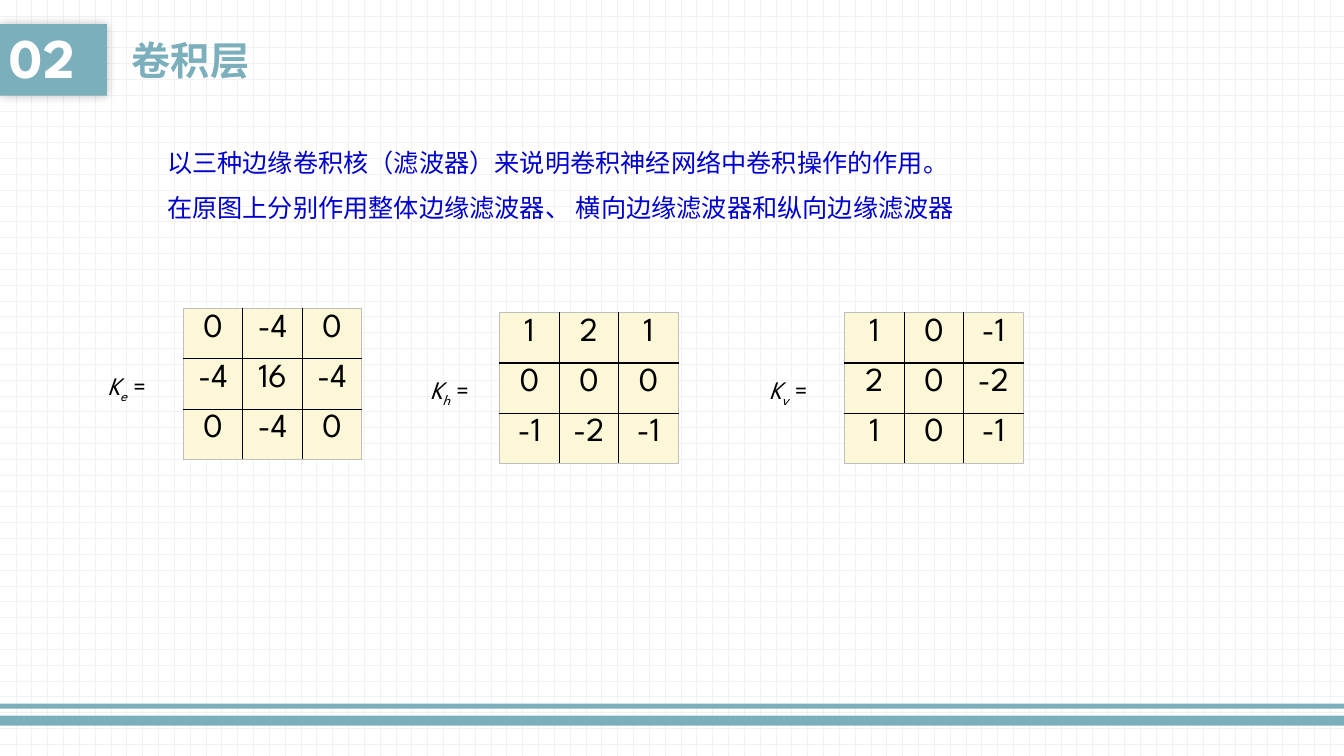
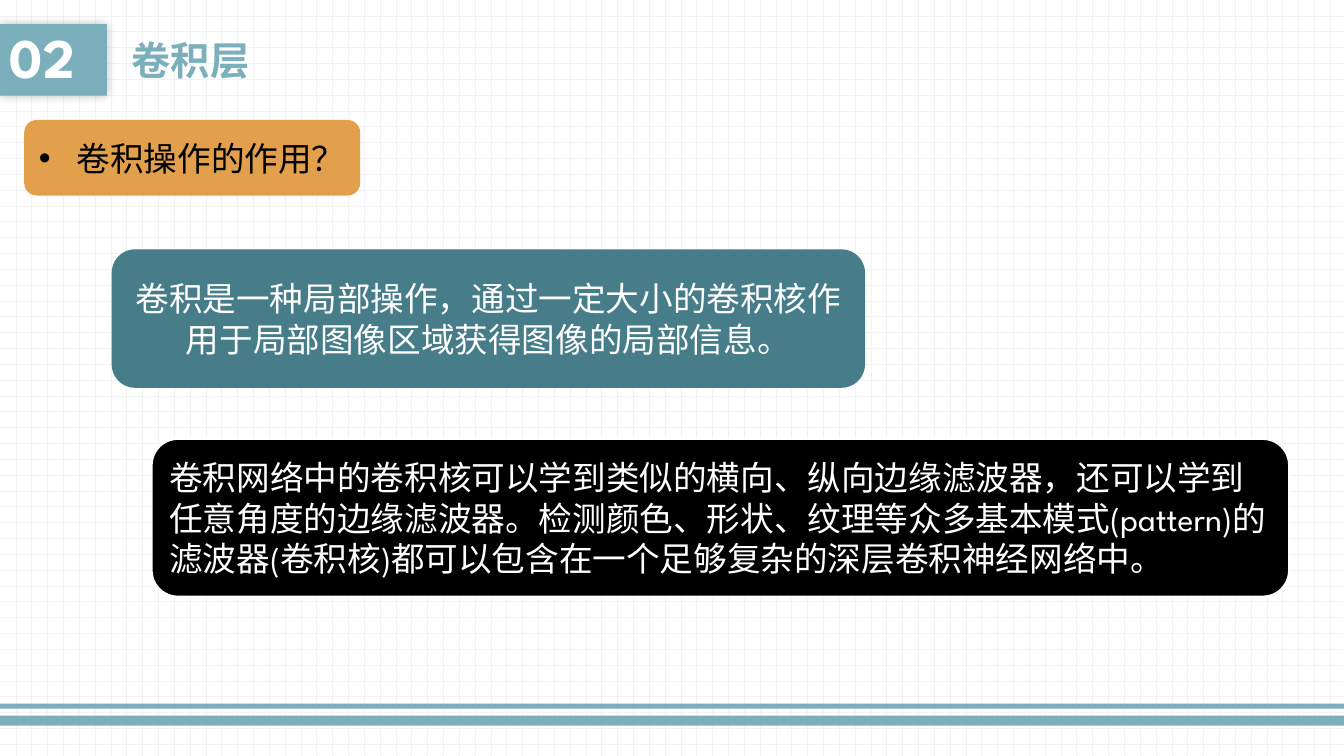
from dataclasses import dataclass

from lxml import etree
from pptx import Presentation
from pptx import util as u
from pptx.dml import color
from pptx.enum import dml, shapes, text
from pptx.oxml import ns


@dataclass(frozen=True)
class Theme:
    font: str = "League Spartan"
    accent: str = "7CAFBC"
    deep: str = "477C89"
    orange: str = "E2A04C"
    cream: str = "FCF7D7"
    blue: str = "0000CC"
    grid: str = "F2F2F2"
    edge: str = "BFBFBF"
    black: str = "000000"
    white: str = "FFFFFF"
    number_size: int = 40
    title_size: int = 28
    large_size: int = 24
    body_size: int = 18


THEME = Theme()
WIDTH, HEIGHT = 960, 540
BANDS = ((511.2, 7.2), (502.6, 3.6))
HEADER_BOX = (0, 17.3, 592, 51.1)
NUMBER_WIDTH = 76.3
TITLE_LEFT = 87.1
CELL_WIDTH, CELL_HEIGHT = 42.5, 36
KERNELS = (
    ("e", (131, 220.3), 61.2, ((0, -4, 0), (-4, 16, -4), (0, -4, 0))),
    ("h", (357, 223.2), 56.8, ((1, 2, 1), (0, 0, 0), (-1, -2, -1))),
    ("v", (603.4, 223.2), 61.2, ((1, 0, -1), (2, 0, -2), (1, 0, -1))),
)


def rgb(value):
    return color.RGBColor.from_string(value)


def points(box):
    return [u.Pt(length) for length in box]


def add_child(parent, tag, **attributes):
    child = etree.SubElement(parent, ns.qn(tag))
    for name, value in attributes.items():
        child.set(name, str(value))
    return child


def style(paragraph, size, ink, bold=False):
    paragraph.font.name = THEME.font
    paragraph.font.size = u.Pt(size)
    paragraph.font.color.rgb = rgb(ink)
    paragraph.font.bold = bold


def add_panel(slide, box, fill, kind=shapes.MSO_SHAPE.RECTANGLE, line=None, line_width=1):
    shape = slide.shapes.add_shape(kind, *points(box))
    shape.shadow.inherit = False
    shape.fill.solid()
    shape.fill.fore_color.rgb = rgb(fill)
    if line:
        shape.line.color.rgb = rgb(line)
        shape.line.width = u.Pt(line_width)
    else:
        shape.line.fill.background()
    return shape


def write(shape, lines, size, ink, bold=False, align=text.PP_ALIGN.LEFT,
          anchor=text.MSO_ANCHOR.MIDDLE, spacing=None, bullet=False):
    frame = shape.text_frame
    frame.word_wrap = True
    frame.vertical_anchor = anchor
    frame.text = "\n".join(lines)
    for paragraph in frame.paragraphs:
        paragraph.alignment = align
        paragraph.line_spacing = spacing
        if bullet:
            properties = paragraph._p.get_or_add_pPr()
            properties.set("marL", str(u.Pt(27)))
            properties.set("indent", str(-u.Pt(27)))
            add_child(properties, "a:buFont", typeface="Arial")
            add_child(properties, "a:buChar", char="•")
        style(paragraph, size, ink, bold)


def add_textbox(slide, box, lines, size, ink, **options):
    write(slide.shapes.add_textbox(*points(box)), lines, size, ink, **options)


def add_card(slide, box, line_of_text, fill, ink, line=None, line_width=1, **options):
    card = add_panel(slide, box, fill, shapes.MSO_SHAPE.ROUNDED_RECTANGLE, line, line_width)
    write(card, [line_of_text], THEME.large_size, ink, **options)


def decorate_master(master, slide):
    fill = master.background.fill
    fill.patterned()
    fill.pattern = dml.MSO_PATTERN.DOTTED_GRID
    fill.fore_color.rgb = rgb(THEME.grid)
    fill.back_color.rgb = rgb(THEME.white)
    for index, (top, height) in enumerate(BANDS):
        band = add_panel(slide, (0, top, WIDTH, height), THEME.accent)
        band.element.nvSpPr.cNvPr.set("id", str(100 + index))
        master.shapes.element.insert(2 + index, band.element)


def add_header(slide, box, number, title):
    left, top, width, height = box
    badge = add_panel(slide, (left, top, NUMBER_WIDTH, height), THEME.accent)
    effects = badge.element.spPr.find(ns.qn("a:effectLst"))
    shadow = add_child(effects, "a:outerShdw", blurRad=u.Pt(7), dist=0, dir=0,
                       algn="ctr", rotWithShape=0)
    shade = add_child(shadow, "a:srgbClr", val=THEME.black)
    add_child(shade, "a:alpha", val=25000)
    write(badge, [number], THEME.number_size, THEME.white, bold=True, spacing=0.9)
    add_textbox(slide, (left + TITLE_LEFT, top, width - TITLE_LEFT, height), [title],
                THEME.title_size, THEME.accent, bold=True)


def set_borders(cell, row, column, last):
    properties = cell._tc.get_or_add_tcPr()
    sides = (("a:lnL", column == 0), ("a:lnR", column == last),
             ("a:lnT", row == 0), ("a:lnB", row == last))
    for tag, outer in sides:
        line = add_child(properties, tag, w=u.Pt(1))
        fill = add_child(line, "a:solidFill")
        add_child(fill, "a:srgbClr", val=THEME.edge if outer else THEME.black)


def add_kernel_table(slide, origin, values):
    count = len(values)
    box = (*origin, count * CELL_WIDTH, count * CELL_HEIGHT)
    table = slide.shapes.add_table(count, count, *points(box)).table
    table.first_row = table.horz_banding = False
    for row, numbers in enumerate(values):
        for column, number in enumerate(numbers):
            cell = table.cell(row, column)
            set_borders(cell, row, column, count - 1)
            cell.fill.solid()
            cell.fill.fore_color.rgb = rgb(THEME.cream)
            cell.text = str(number)
            paragraph = cell.text_frame.paragraphs[0]
            paragraph.alignment = text.PP_ALIGN.CENTER
            style(paragraph, THEME.large_size, THEME.black)


def add_kernel_label(slide, box, subscript):
    frame = slide.shapes.add_textbox(*points(box)).text_frame
    frame.word_wrap = True
    paragraph = frame.paragraphs[0]
    style(paragraph, THEME.body_size, THEME.black)
    for content, italic, baseline in (("K", True, 0), (subscript, True, -25000), (" =", False, 0)):
        run = paragraph.add_run()
        run.text = content
        run.font.italic = italic
        if baseline:
            run._r.get_or_add_rPr().set("baseline", str(baseline))


def add_kernel(slide, origin, subscript, label_gap, values):
    left, top = origin
    add_kernel_table(slide, origin, values)
    add_kernel_label(slide, (left - label_gap, top + 40.5, 62, 29), subscript)


def build_kernels(slide):
    add_textbox(slide, (112.3, 90.7, 584.6, 72.7),
                ["以三种边缘卷积核（滤波器）来说明卷积神经网络中卷积操作的作用。",
                 "在原图上分别作用整体边缘滤波器、 横向边缘滤波器和纵向边缘滤波器"],
                THEME.body_size, THEME.blue, anchor=text.MSO_ANCHOR.TOP, spacing=1.5)
    for subscript, origin, label_gap, values in KERNELS:
        add_kernel(slide, origin, subscript, label_gap, values)


def build_purpose(slide):
    add_card(slide, (80.3, 178.6, 537.1, 97.9),
             "卷积是一种局部操作，通过一定大小的卷积核作用于局部图像区域获得图像的局部信息。",
             THEME.deep, THEME.white, THEME.deep, align=text.PP_ALIGN.CENTER)
    add_card(slide, (108.3, 313.5, 812.5, 112.7),
             "卷积网络中的卷积核可以学到类似的横向、纵向边缘滤波器，还可以学到任意角度的边缘滤波器。"
             "检测颜色、形状、纹理等众多基本模式(pattern)的滤波器(卷积核)"
             "都可以包含在一个足够复杂的深层卷积神经网络中。",
             THEME.black, THEME.white, THEME.white, 1.5)
    add_card(slide, (17.3, 85.7, 240, 54), "卷积操作的作用？",
             THEME.orange, THEME.black, align=text.PP_ALIGN.CENTER, bullet=True)


def main():
    presentation = Presentation()
    presentation.slide_width, presentation.slide_height = points((WIDTH, HEIGHT))
    blank = presentation.slide_layouts[6]
    for build in (build_kernels, build_purpose):
        slide = presentation.slides.add_slide(blank)
        if len(presentation.slides) == 1:
            decorate_master(presentation.slide_master, slide)
        add_header(slide, HEADER_BOX, "02", "卷积层")
        build(slide)
    presentation.save("out.pptx")


if __name__ == "__main__":
    main()
